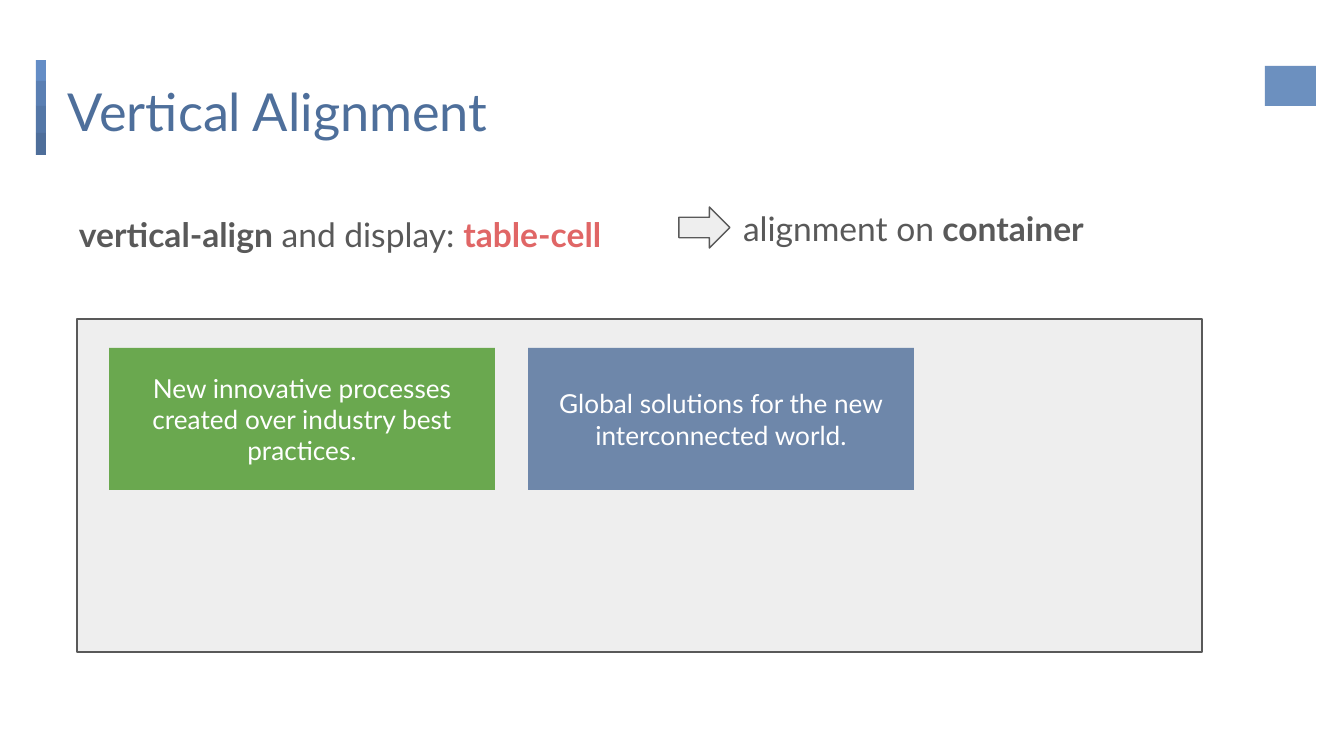
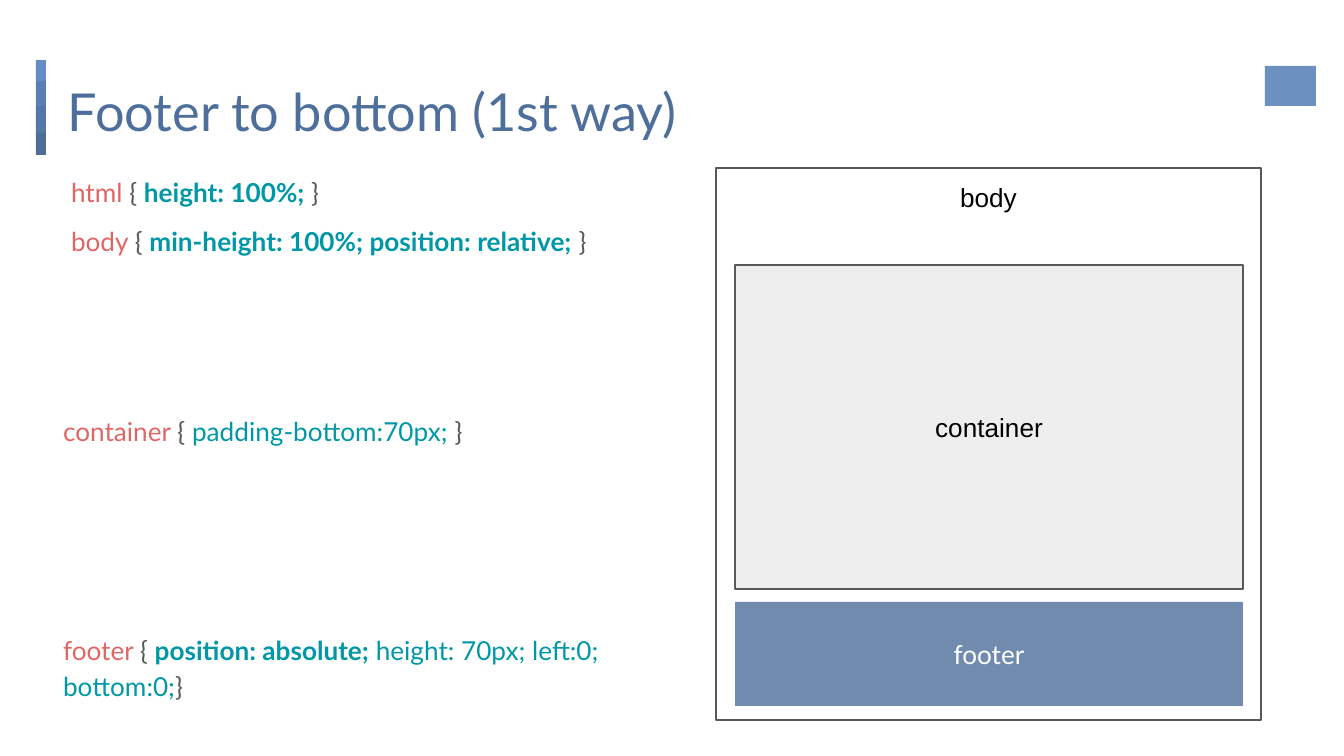
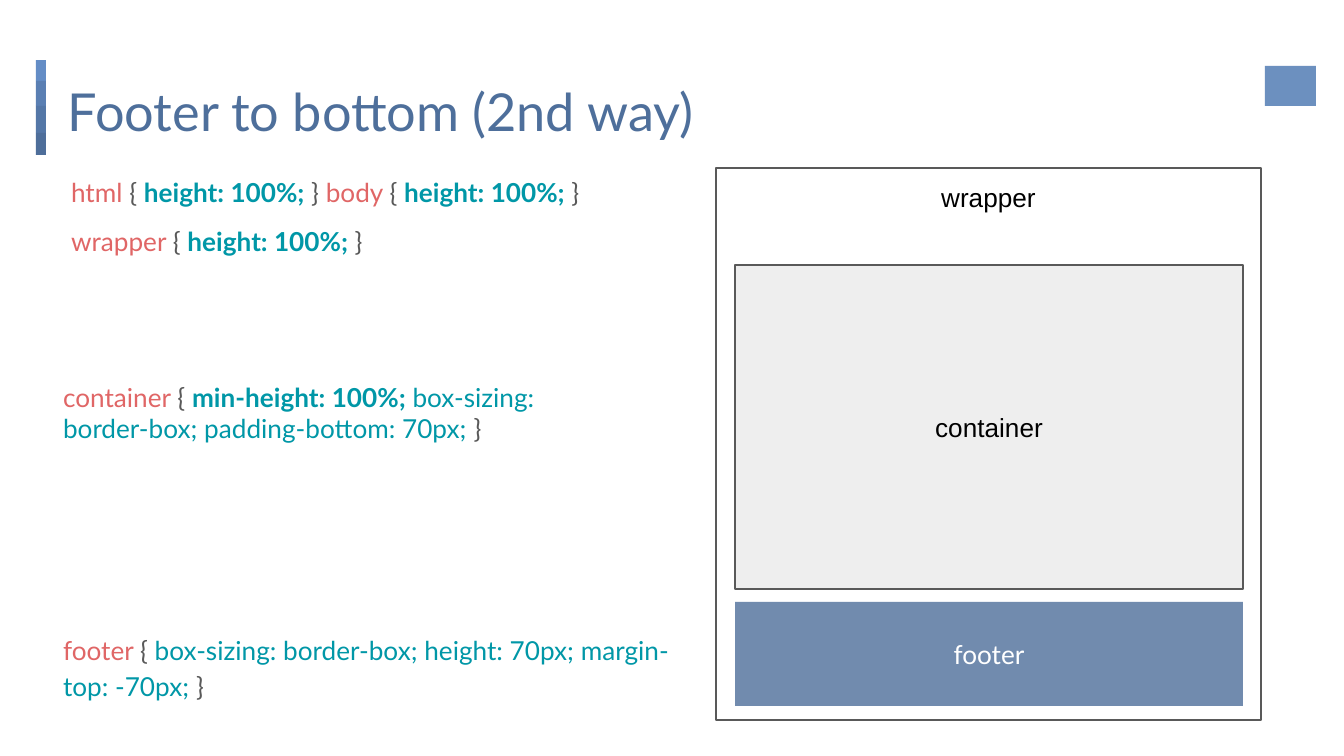
from lxml.etree import SubElement
from pptx import Presentation
from pptx.dml.color import RGBColor
from pptx.enum.shapes import MSO_SHAPE
from pptx.enum.text import MSO_ANCHOR, MSO_AUTO_SIZE, PP_ALIGN
from pptx.oxml.ns import qn
from pptx.util import Emu, Pt

PX_PER_INCH = 134.4
COMPARISON_LAYOUT = 4
INSET = 13

TITLE_BLUE = "4E6F9B"
BLOCK_BLUE = "4E6E9A"
EMBLEM_BLUE = "5E85B9"
GREEN = "6AA84F"
LIGHT_GRAY = "EEEEEE"
GRAY = "595959"
RED = "E06666"
TEAL = "0097A7"
WHITE = "FFFFFF"
BLACK = "000000"

# (colour, bold) of each kind of run
PLAIN = (GRAY, False)
STRONG = (GRAY, True)
ALERT = (RED, True)
SELECTOR = (RED, False)
VALUE = (TEAL, False)
KEY_VALUE = (TEAL, True)

TITLE_BOX = (55, 66, 1243, 85)
EMBLEM_BOX = (1265, 66, 51, 40)
BAND_BOX = (36, 60, 10, 95)
BAND_PARTS = [(21, "648DC6"), (25, "5A7FB3"), (27, "5477A7"), (22, "4E6E9A")]
DIAGRAM_BOX = (716, 168, 545, 552)


def px(length):
    return Emu(round(length * 914400 / PX_PER_INCH))


def rgb(color):
    return RGBColor.from_string(color)


def place(shape, box):
    shape.left, shape.top, shape.width, shape.height = map(px, box)


def prepare_frame(frame, anchor):
    frame.word_wrap = True
    frame.auto_size = MSO_AUTO_SIZE.NONE
    frame.vertical_anchor = anchor
    frame.margin_left = frame.margin_right = px(INSET)
    frame.margin_top = frame.margin_bottom = px(INSET)


def add_run(paragraph, text, size, color, bold=False, font="Lato"):
    run = paragraph.add_run()
    run.text = text
    run.font.name = font
    run.font.size = Pt(size)
    run.font.bold = bold
    run.font.color.rgb = rgb(color)


def fill_placeholder(placeholder, box, runs, size, line_spacing=1.0, align=PP_ALIGN.LEFT):
    place(placeholder, box)
    prepare_frame(placeholder.text_frame, MSO_ANCHOR.TOP)
    paragraph = placeholder.text_frame.paragraphs[0]
    properties = paragraph._p.get_or_add_pPr()
    properties.set("marL", "0")
    properties.set("indent", "0")
    SubElement(properties, qn("a:buNone"))
    paragraph.alignment = align
    paragraph.line_spacing = line_spacing
    paragraph.space_before = Pt(0)
    for text, (color, bold) in runs:
        add_run(paragraph, text, size, color, bold)


def add_block(slide, box, fill=None, line=None, opacity=100, kind=MSO_SHAPE.RECTANGLE):
    block = slide.shapes.add_shape(kind, *map(px, box))
    block.shadow.inherit = False
    if fill:
        block.fill.solid()
        block.fill.fore_color.rgb = rgb(fill)
        if opacity < 100:
            color = block.fill._xPr.find(qn("a:solidFill"))[0]
            SubElement(color, qn("a:alpha"), val=str(opacity * 1000))
    else:
        block.fill.background()
    if line:
        block.line.color.rgb = rgb(line)
        block.line.width = Pt(0.75)
    else:
        block.line.fill.background()
    return block


def label(block, text, color, font="Lato", anchor=MSO_ANCHOR.MIDDLE):
    prepare_frame(block.text_frame, anchor)
    paragraph = block.text_frame.paragraphs[0]
    paragraph.alignment = PP_ALIGN.CENTER
    add_run(paragraph, text, 14, color, font=font)


def move_band_to_master(prs, slide):
    """Draw the title band and hand it to the master, so every slide shows it."""
    left, top, width, _ = BAND_BOX
    parts = []
    for height, color in BAND_PARTS:
        parts.append(add_block(slide, (left, top, width, height), color))
        top += height
    for part in parts:
        prs.slide_master.shapes.element.append(part.element)


def add_titled_slide(prs, title):
    slide = prs.slides.add_slide(prs.slide_layouts[COMPARISON_LAYOUT])
    if len(prs.slides) == 1:
        move_band_to_master(prs, slide)
    fill_placeholder(slide.shapes.title, TITLE_BOX, [(title, (TITLE_BLUE, False))], 28)
    add_block(slide, EMBLEM_BOX, EMBLEM_BLUE, opacity=91)
    return slide


def fill_bodies(slide, texts, size):
    """Fill the body placeholders in turn and remove those left over."""
    bodies = list(slide.placeholders)[1:]
    for body, (box, spacing, runs) in zip(bodies, texts):
        fill_placeholder(body, box, runs, size, spacing)
    for spare in bodies[len(texts):]:
        spare.element.getparent().remove(spare.element)


def add_cell_row(slide, box):
    left, top, width, height = box
    cell_width, cell_height, gap = 386, 142, 33
    add_block(slide, box, LIGHT_GRAY, GRAY)
    cells = [
        ("New innovative processes created over industry best practices.", GREEN, 100),
        ("Global solutions for the new interconnected world.", BLOCK_BLUE, 80),
    ]
    for column, (text, color, opacity) in enumerate(cells):
        cell_left = left + 32 + column * (cell_width + gap)
        cell = add_block(slide, (cell_left, top + 29, cell_width, cell_height),
                         color, opacity=opacity)
        label(cell, text, WHITE)


def add_page_diagram(slide, box, outer_name):
    left, top, width, height = box
    inner_left, inner_width = left + 19, width - 37
    outer = add_block(slide, box, line=GRAY)
    label(outer, outer_name, BLACK, "Arial", MSO_ANCHOR.TOP)
    container = add_block(slide, (inner_left, top + 97, inner_width, 324), LIGHT_GRAY, GRAY)
    label(container, "container", BLACK, "Arial")
    footer = add_block(slide, (inner_left, top + 434, inner_width, 104),
                       BLOCK_BLUE, opacity=80)
    label(footer, "footer", WHITE)


def css_rule(selector, *values, close="}"):
    return [(selector + " ", SELECTOR), ("{ ", PLAIN), *values, (close, PLAIN)]


def build_alignment_slide(prs):
    slide = add_titled_slide(prs, "Vertical Alignment")
    fill_bodies(slide, [
        ((66, 195, 687, 58), 1.15,
         [("vertical-align", STRONG), (" and display: ", PLAIN), ("table-cell", ALERT)]),
        ((730, 195, 617, 58), 1.0,
         [("alignment on", PLAIN), (" container", STRONG)]),
    ], 18)
    add_block(slide, (679, 207, 51, 41), LIGHT_GRAY, GRAY, kind=MSO_SHAPE.RIGHT_ARROW)
    add_cell_row(slide, (77, 319, 1125, 333))


def build_footer_slide(prs, title, outer_name, rules):
    slide = add_titled_slide(prs, title)
    add_page_diagram(slide, DIAGRAM_BOX, outer_name)
    fill_bodies(slide, rules, 14)


def main():
    prs = Presentation()
    prs.slide_width, prs.slide_height = px(1344), px(756)
    full_height = ("height: 100%; ", KEY_VALUE)

    build_alignment_slide(prs)
    build_footer_slide(prs, "Footer to bottom (1st way)", "body", [
        ((58, 163, 620, 50), 1.0, css_rule("html", full_height)),
        ((58, 212, 727, 58), 1.0,
         css_rule("body", ("min-height: 100%; position: relative; ", KEY_VALUE))),
        ((50, 402, 525, 50), 1.0,
         css_rule("container", ("padding-bottom:70px; ", VALUE))),
        ((50, 617, 656, 74), 1.15,
         css_rule("footer", ("position: absolute; ", KEY_VALUE),
                  ("height: 70px; left:0; bottom:0;", VALUE))),
    ])
    build_footer_slide(prs, "Footer to bottom (2nd way)", "wrapper", [
        ((58, 163, 640, 50), 1.0,
         css_rule("html", full_height, close="} ") + css_rule("body", full_height)),
        ((58, 212, 727, 58), 1.0, css_rule("wrapper", full_height)),
        ((50, 368, 501, 126), 1.0,
         css_rule("container", ("min-height: 100%; ", KEY_VALUE),
                  ("box-sizing: border-box; padding-bottom: 70px; ", VALUE))),
        ((50, 617, 656, 103), 1.15,
         css_rule("footer",
                  ("box-sizing: border-box; height: 70px; margin-top: -70px; ", VALUE))),
    ])
    prs.save("out.pptx")


if __name__ == "__main__":
    main()
